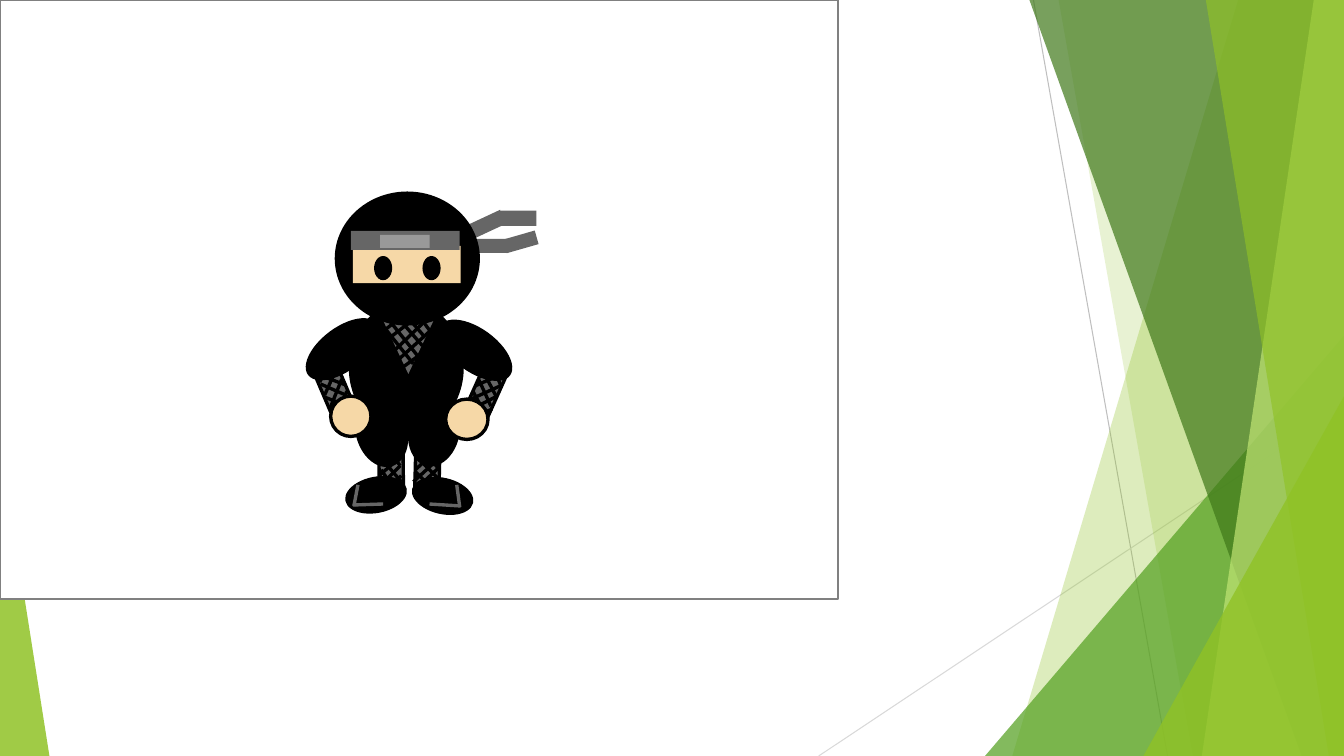
from lxml import etree
from pptx import Presentation
from pptx.dml.color import RGBColor
from pptx.enum.shapes import MSO_CONNECTOR, MSO_SHAPE
from pptx.oxml.ns import qn
from pptx.util import Inches, Pt

RECT = MSO_SHAPE.RECTANGLE
OVAL = MSO_SHAPE.OVAL
TRI = MSO_SHAPE.ISOSCELES_TRIANGLE
LINE = MSO_CONNECTOR.STRAIGHT

WIDE, HIGH = 13.33, 7.5
COLORS = {
    "lime": "90C226", "green": "54A021", "forest": "3F7819", "pale": "C0E474",
    "white": "FFFFFF", "black": "000000", "skin": "F6D8A7",
    "gray": "666666", "plate": "999999", "frame": "808080",
    "rule": "BFBFBF", "faint": "D9D9D9",
}


class Canvas:
    """Holds the style and the current slide."""

    def __init__(self, slide, stroke=2.4):
        self.shapes = slide.shapes
        self.stroke = stroke

    def color(self, name):
        return RGBColor.from_string(COLORS[name])

    def paint(self, shape, fill, alpha=100, edge=None, width=None):
        shape.shadow.inherit = False
        shape.fill.solid()
        shape.fill.fore_color.rgb = self.color(fill)
        if alpha < 100:
            tint = shape._element.spPr.find(".//" + qn("a:srgbClr"))
            etree.SubElement(tint, qn("a:alpha"), val=str(alpha * 1000))
        if edge:
            shape.line.color.rgb = self.color(edge)
            shape.line.width = Pt(width or self.stroke)
        else:
            shape.line.fill.background()

    def shape(self, kind, box, fill, turn=0, adj=None, **style):
        item = self.shapes.add_shape(kind, *map(Inches, box))
        item.rotation = turn
        if adj is not None:
            item.adjustments[0] = adj
        self.paint(item, fill, **style)

    def panel(self, top, foot, fill, alpha):
        """A band from a slanted left side to the right slide edge."""
        points = [(top, 0), (WIDE, 0), (WIDE, HIGH), (foot, HIGH)]
        points = [(Inches(x), Inches(y)) for x, y in points]
        pen = self.shapes.build_freeform(*points[0])
        pen.add_line_segments(points[1:], close=True)
        self.paint(pen.convert_to_shape(), fill, alpha)

    def line(self, ends, color="black", width=None):
        item = self.shapes.add_connector(LINE, *map(Inches, ends))
        item.line.color.rgb = self.color(color)
        item.line.width = Pt(width or self.stroke)
        etree.SubElement(item._element.spPr, qn("a:effectLst"))

    def lines(self, group, color="black"):
        for ends in group:
            self.line(ends, color)


# Mesh threads: x1, y1, x2, y2
RIGHT_LEG = [
    (4.26, 4.41, 4.34, 4.53), (4.15, 4.41, 4.35, 4.65),
    (4.13, 4.53, 4.34, 4.74), (4.12, 4.68, 4.29, 4.85),
    (4.27, 4.41, 4.14, 4.53), (4.36, 4.44, 4.12, 4.66),
    (4.35, 4.55, 4.1, 4.78), (4.34, 4.65, 4.14, 4.84),
    (4.35, 4.74, 4.22, 4.85),
]
LEFT_LEG = [
    (3.89, 4.4, 4, 4.55), (3.81, 4.42, 3.97, 4.62),
    (3.76, 4.52, 3.98, 4.78), (3.78, 4.66, 3.91, 4.85),
    (3.76, 4.5, 3.92, 4.39), (3.77, 4.59, 3.99, 4.43),
    (3.77, 4.71, 3.99, 4.52), (3.78, 4.81, 3.97, 4.62),
    (3.84, 4.86, 3.98, 4.72),
]
LEFT_ARM = [
    (3.4, 4.01, 3.22, 3.94), (3.43, 3.92, 3.18, 3.81),
    (3.43, 3.82, 3.14, 3.71), (3.37, 3.7, 3.12, 3.6),
    (3.39, 4.03, 3.44, 3.88), (3.27, 4.06, 3.39, 3.76),
    (3.22, 3.92, 3.34, 3.65), (3.17, 3.79, 3.31, 3.55),
    (3.13, 3.71, 3.22, 3.55),
]
RIGHT_ARM = [
    (4.66, 3.96, 4.73, 4.12), (4.69, 3.88, 4.83, 4.14),
    (4.75, 3.77, 4.87, 4.03), (4.92, 3.93, 4.79, 3.68),
    (4.89, 3.64, 4.97, 3.83), (4.8, 3.71, 4.91, 3.66),
    (5, 3.7, 4.71, 3.83), (4.65, 3.97, 4.98, 3.82),
    (4.6, 4.1, 4.93, 3.93), (4.73, 4.12, 4.88, 4.06),
]
CHEST = [
    (3.82, 3.27, 3.94, 3.18), (3.88, 3.34, 4.06, 3.2),
    (3.92, 3.47, 4.19, 3.21), (3.96, 3.56, 4.27, 3.28),
    (4, 3.64, 4.15, 3.53), (4.19, 3.18, 4.27, 3.29),
    (4.08, 3.19, 4.21, 3.34), (3.98, 3.19, 4.19, 3.43),
    (3.87, 3.19, 4.15, 3.54), (3.82, 3.26, 4.1, 3.61),
]


def backdrop(art):
    art.line((10.25, 0, 11.58, HIGH), "rule", 0.75)
    art.line((WIDE, 4.03, 8.12, HIGH), "faint", 0.75)
    art.panel(12.28, 10.04, "lime", 30)
    art.panel(10.5, 11.83, "lime", 20)
    art.shape(TRI, (9.77, 3.33, 3.56, 4.17), "green", adj=1, alpha=72)
    art.panel(10.21, 12.91, "forest", 70)
    art.panel(13.03, 11.92, "pale", 70)
    art.panel(11.96, 13.18, "lime", 65)
    art.shape(TRI, (11.34, 3.93, 1.99, 3.57), "lime", adj=1, alpha=80)
    art.shape(TRI, (0, 4.39, 0.49, 3.11), "lime", adj=0, alpha=85)


def body(art):
    # Legs
    for box, turn, mesh in [((4.12, 4.39, 0.24, 0.46), 1.4, RIGHT_LEG),
                            ((3.76, 4.4, 0.24, 0.46), 359.4, LEFT_LEG)]:
        art.shape(RECT, box, "gray", turn, edge="black")
        art.lines(mesh)
    # Torso and thighs
    for box, turn in [((3.46, 2.99, 1.14, 1.32), 0),
                      ((3.53, 3.93, 0.51, 0.71), 343.6),
                      ((4.05, 3.92, 0.51, 0.71), 11.3)]:
        art.shape(OVAL, box, "black", turn)
    # Forearms
    for box, turn, mesh in [((3.17, 3.54, 0.24, 0.53), 337, LEFT_ARM),
                            ((4.7, 3.62, 0.24, 0.53), 24.2, RIGHT_ARM)]:
        art.shape(RECT, box, "gray", turn, edge="black")
        art.lines(mesh)
    # Hands
    for box in [(4.42, 3.96, 0.42, 0.4), (3.28, 3.93, 0.4, 0.4)]:
        art.shape(OVAL, box, "skin", edge="black")
    # Chest
    art.shape(TRI, (3.8, 3.18, 0.5, 0.53), "gray", 180)
    art.lines(CHEST)


def head(art):
    # Ribbon ends
    for box, turn in [((4.65, 2.15, 0.36, 0.15), 335),
                      ((4.97, 2.09, 0.35, 0.15), 0),
                      ((4.71, 2.37, 0.33, 0.14), 0),
                      ((5, 2.33, 0.33, 0.14), 344)]:
        art.shape(RECT, box, "gray", turn)
    # Hood, face and eyes
    art.shape(OVAL, (3.32, 1.9, 1.44, 1.33), "black")
    art.shape(RECT, (3.5, 2.44, 1.07, 0.37), "skin")
    for left in (3.71, 4.19):
        art.shape(OVAL, (left, 2.54, 0.18, 0.24), "black")
    # Headband
    art.shape(RECT, (3.48, 2.29, 1.08, 0.19), "gray")
    art.shape(RECT, (3.77, 2.33, 0.49, 0.13), "plate")


def limbs(art):
    # Sleeves
    art.shape(OVAL, (4.5, 3.05, 0.43, 0.85), "black", 306)
    art.shape(OVAL, (3.18, 3.04, 0.43, 0.85), "black", 53)
    # Shoes with straps
    art.shape(OVAL, (4.21, 4.61, 0.36, 0.62), "black", 283)
    art.lines([(4.26, 5, 4.57, 5.02), (4.53, 4.81, 4.56, 5.03)], "gray")
    art.shape(OVAL, (3.55, 4.6, 0.36, 0.62), "black", 79)
    art.lines([(3.55, 4.81, 3.51, 5.02), (3.8, 5, 3.5, 5.01)], "gray")


def main():
    deck = Presentation()
    deck.slide_width, deck.slide_height = Inches(WIDE), Inches(HIGH)
    art = Canvas(deck.slides.add_slide(deck.slide_layouts[6]))
    backdrop(art)
    # Framed stage
    art.shape(RECT, (0, 0, 8.31, 5.94), "white", edge="frame", width=1.5)
    # Ninja, from back to front
    body(art)
    head(art)
    limbs(art)
    deck.save("out.pptx")


if __name__ == "__main__":
    main()
